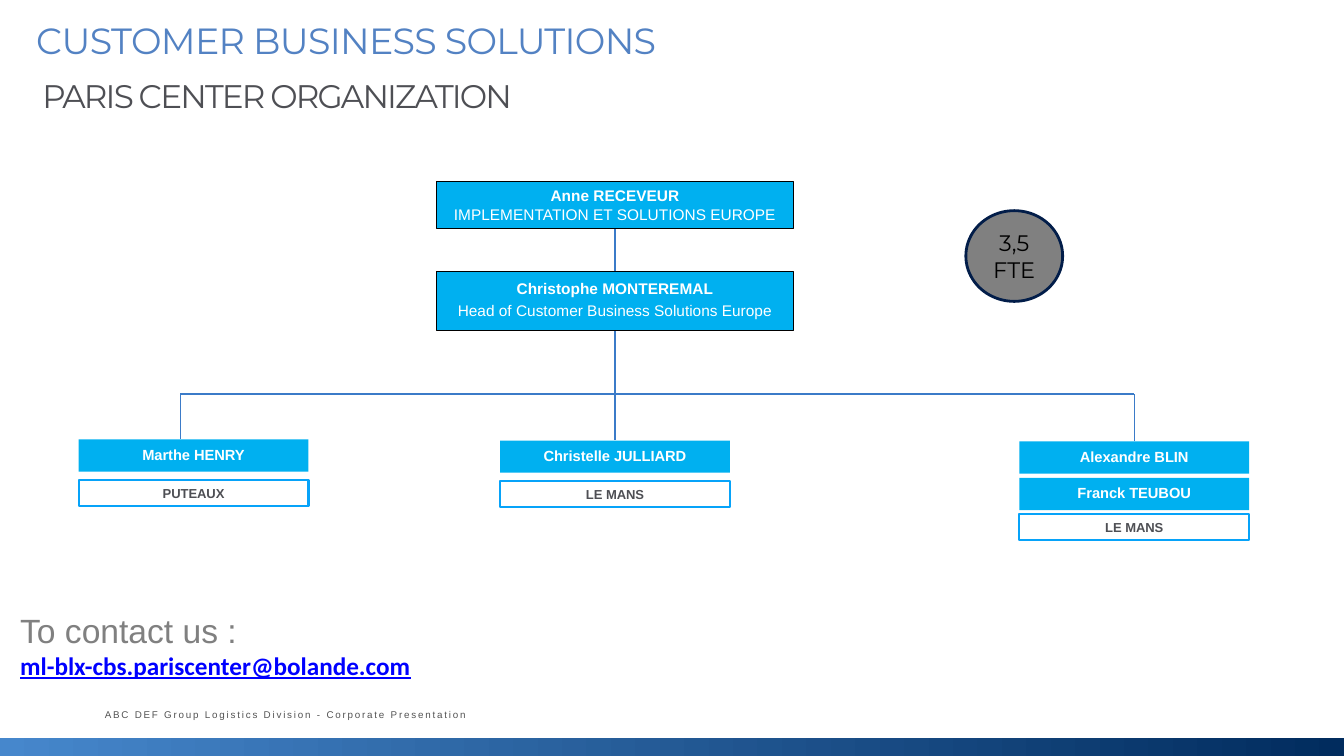
from dataclasses import dataclass

from lxml.etree import SubElement
from pptx import Presentation
from pptx.dml.color import RGBColor
from pptx.enum.shapes import MSO_CONNECTOR, MSO_SHAPE
from pptx.enum.text import MSO_ANCHOR, PP_ALIGN
from pptx.oxml.ns import qn
from pptx.util import Inches, Pt

SKY, EDGE, LINK = "00B0F0", "07A3F9", "3B7BC8"
WHITE, GREY, BLACK = "FFFFFF", "4E4F54", "000000"
TRUNK, RAIL = 6.1, 3.91


@dataclass
class Style:
    size: float
    color: str
    font: str = "Arial"
    bold: bool = False
    under: bool = False
    track: int = 0
    line: float = 1.0
    after: float = 0


@dataclass
class Box:
    left: float
    top: float
    width: float
    height: float
    fill: str = ""
    edge: str = ""
    weight: float = 0.75
    kind: MSO_SHAPE = MSO_SHAPE.RECTANGLE


@dataclass
class Team:
    left: float
    top: float
    names: list[str]
    place: str
    site: float


def rgb(color: str) -> RGBColor:
    return RGBColor.from_string(color)


def write(shape, rows: list[tuple[str, Style]], align=PP_ALIGN.CENTER,
          anchor=MSO_ANCHOR.MIDDLE, inset: float = 0.05, wrap: bool = True) -> None:
    frame = shape.text_frame
    frame.text = "\n".join(text for text, _ in rows)
    frame.word_wrap = wrap
    frame.vertical_anchor = anchor
    frame.margin_left = frame.margin_right = Inches(inset)
    frame.margin_top = frame.margin_bottom = Inches(inset)
    for para, (_, style) in zip(frame.paragraphs, rows):
        para.alignment = align
        para.line_spacing = style.line
        para.space_after = Pt(style.after)
        for run in para.runs:
            font = run.font
            font.name, font.size = style.font, Pt(style.size)
            font.bold, font.underline = style.bold, style.under
            font.color.rgb = rgb(style.color)
            if style.track:
                font._element.set("spc", str(style.track))


def draw(slide, box: Box):
    shape = slide.shapes.add_shape(box.kind, Inches(box.left), Inches(box.top),
                                   Inches(box.width), Inches(box.height))
    shape.shadow.inherit = False
    if box.fill:
        shape.fill.solid()
        shape.fill.fore_color.rgb = rgb(box.fill)
    else:
        shape.fill.background()
    if box.edge:
        shape.line.color.rgb = rgb(box.edge)
        shape.line.width = Pt(box.weight)
    else:
        shape.line.fill.background()
    return shape


def label(slide, box: Box, rows: list[tuple[str, Style]],
          align=PP_ALIGN.LEFT, inset: float = 0, wrap: bool = True) -> None:
    text = slide.shapes.add_textbox(Inches(box.left), Inches(box.top),
                                    Inches(box.width), Inches(box.height))
    write(text, rows, align, MSO_ANCHOR.TOP, inset, wrap)


def link(slide, left: float, top: float, right: float, base: float) -> None:
    line = slide.shapes.add_connector(MSO_CONNECTOR.STRAIGHT, Inches(left), Inches(top),
                                      Inches(right), Inches(base))
    line.line.color.rgb = rgb(LINK)
    line.line.width = Pt(1)
    SubElement(line._element.spPr, qn("a:effectLst"))


def band(slide) -> None:
    bar = draw(slide, Box(0, 7.32, 13.33, 0.18))
    bar.fill.gradient()
    bar.fill.gradient_angle = 0
    for stop, color in zip(bar.fill.gradient_stops, ("4687CC", "012C5E")):
        stop.color.rgb = rgb(color)


def chart(slide) -> None:
    for ends in ((TRUNK, 2.27, TRUNK, 2.69), (TRUNK, 3.28, TRUNK, 4.37),
                 (1.79, RAIL, 11.25, RAIL), (1.79, RAIL, 1.79, 4.36),
                 (11.25, RAIL, 11.25, 4.38)):
        link(slide, *ends)
    heads = [
        (1.8, 0.47, 1.0, 0, "Anne RECEVEUR", "IMPLEMENTATION ET SOLUTIONS EUROPE"),
        (2.69, 0.59, 0.9, 3.85, "Christophe MONTEREMAL",
         "Head of Customer Business Solutions Europe"),
    ]
    for top, height, line, after, name, role in heads:
        bold = Style(11, WHITE, bold=True, line=line, after=after)
        plain = Style(11, WHITE, line=line, after=after)
        write(draw(slide, Box(4.33, top, 3.54, height, SKY, BLACK)),
              [(name, bold), (role, plain)])
    person = Style(10.5, WHITE, bold=True, line=0.9, after=3.7)
    town = Style(9.3, GREY, bold=True)
    teams = [
        Team(0.78, 4.36, ["Marthe HENRY"], "PUTEAUX", 4.76),
        Team(4.96, 4.37, ["Christelle JULLIARD"], "LE MANS", 4.77),
        Team(10.11, 4.38, ["Alexandre BLIN", "Franck TEUBOU"], "LE MANS", 5.1),
    ]
    for team in teams:
        for row, name in enumerate(team.names):
            box = Box(team.left, team.top + row * 0.36, 2.28, 0.32, SKY)
            write(draw(slide, box), [(name, person)])
        site = Box(team.left, team.site, 2.28, 0.26, edge=EDGE, weight=1.5)
        write(draw(slide, site), [(team.place, town)])


def main() -> None:
    deck = Presentation()
    deck.slide_width, deck.slide_height = Inches(13.33), Inches(7.5)
    slide = deck.slides.add_slide(deck.slide_layouts[6])
    band(slide)
    label(slide, Box(0.82, 7.03, 4.02, 0.14),
          [("ABC DEF Group Logistics Division - Corporate Presentation",
            Style(7, "535353", track=130))], PP_ALIGN.CENTER, wrap=False)
    chart(slide)
    badge = Box(9.58, 2.09, 0.96, 0.9, "808080", "021D49", 2,
                MSO_SHAPE.FLOWCHART_CONNECTOR)
    write(draw(slide, badge), [("3,5 FTE", Style(16, BLACK, "Montserrat"))])
    label(slide, Box(0.36, 0.23, 10.96, 0.47),
          [("CUSTOMER BUSINESS SOLUTIONS",
            Style(26, "5382C3", "Montserrat", track=-50, line=0.9))])
    label(slide, Box(0.42, 0.8, 11.5, 0.4),
          [("PARIS CENTER ORGANIZATION",
            Style(23.3, GREY, "Montserrat", track=-130, line=0.9))])
    label(slide, Box(0.15, 6, 4, 0.81),
          [("To contact us :", Style(24, "808080")),
           ("ml-blx-cbs.pariscenter@bolande.com",
            Style(18, "0000FF", "Calibri", bold=True, under=True))], inset=0.05)
    deck.save("out.pptx")


if __name__ == "__main__":
    main()
